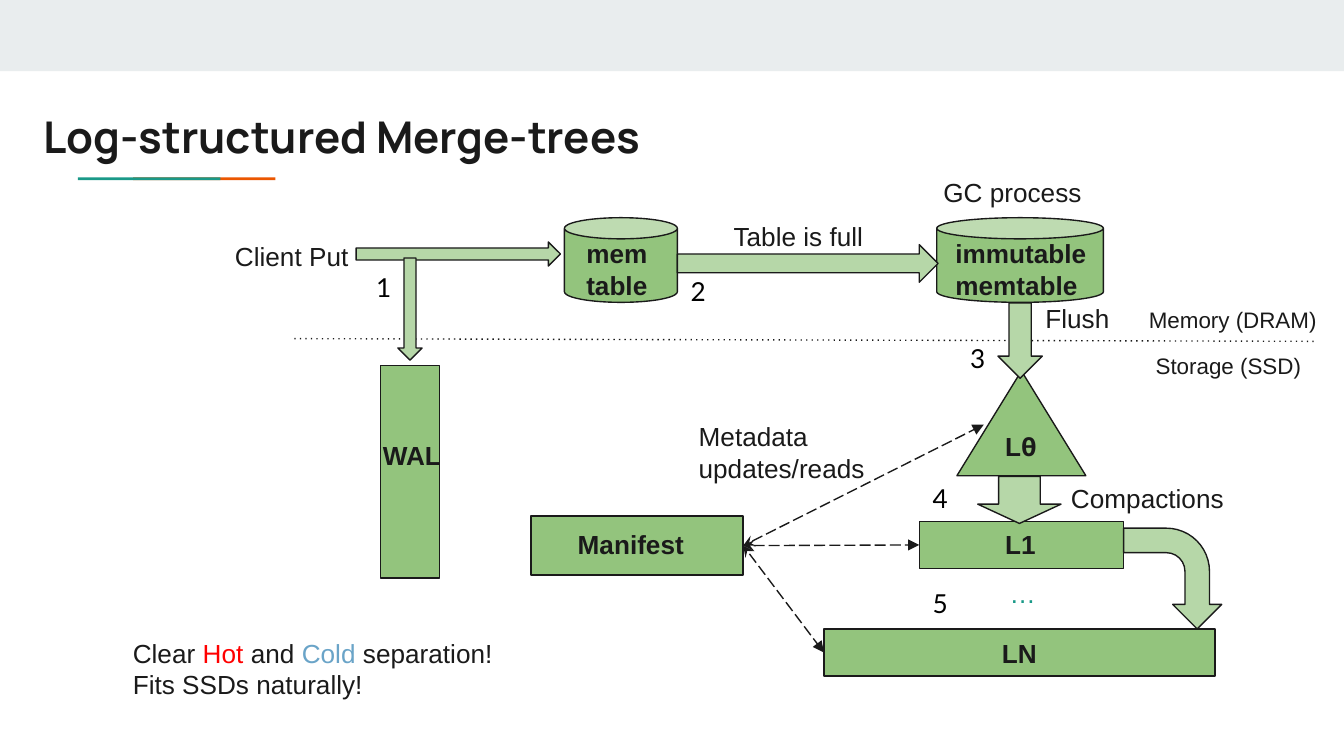
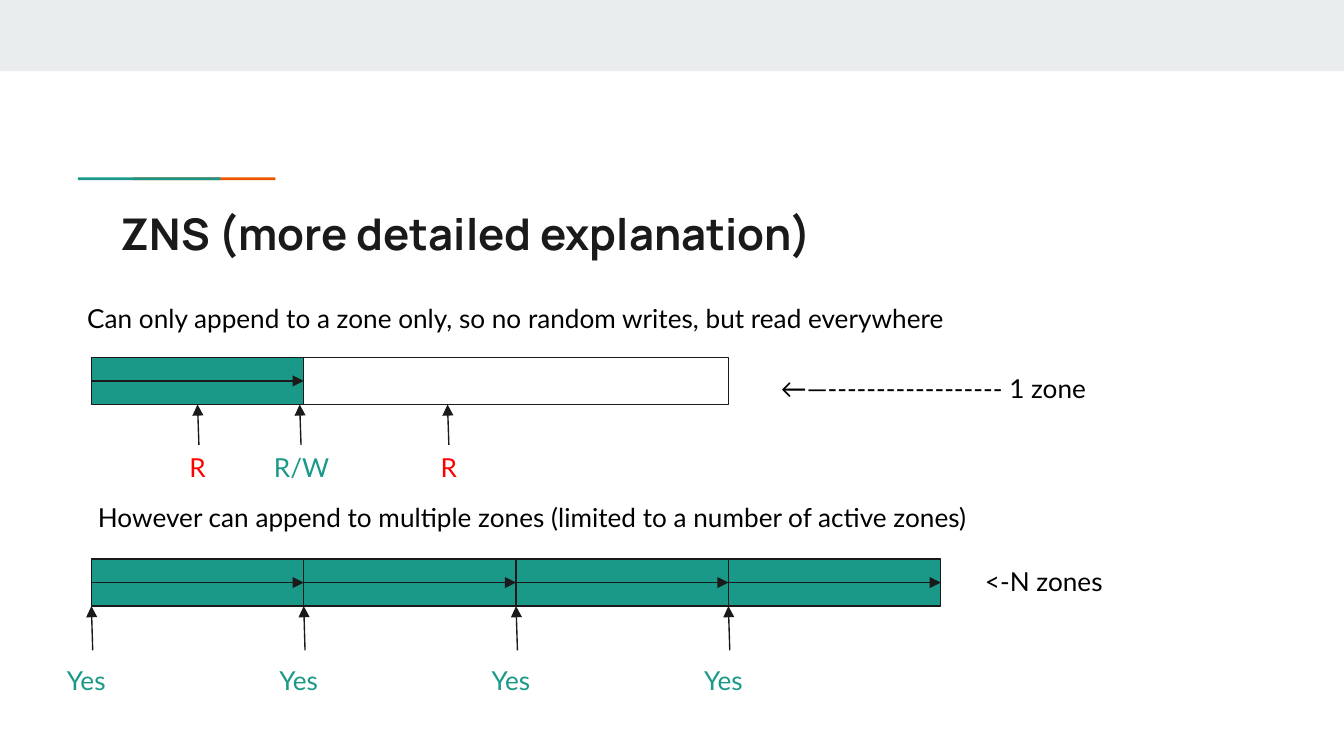
"""Builds two slides: log-structured merge-trees and zoned namespace appends."""
from pptx import Presentation
from pptx.dml.color import RGBColor
from pptx.enum.shapes import MSO_CONNECTOR, MSO_SHAPE
from pptx.enum.text import MSO_ANCHOR, MSO_AUTO_SIZE, PP_ALIGN
from pptx.oxml.ns import qn
from pptx.util import Inches, Pt
from lxml.etree import SubElement

INK = RGBColor(0x1A, 0x1A, 0x1A)
BLACK = RGBColor(0, 0, 0)
WHITE = RGBColor(0xFF, 0xFF, 0xFF)
BAND = RGBColor(0xE9, 0xED, 0xEE)
TEAL = RGBColor(0x1A, 0x99, 0x88)
ORANGE = RGBColor(0xEB, 0x56, 0x00)
GREEN = RGBColor(0x93, 0xC4, 0x7D)
PALE_GREEN = RGBColor(0xB6, 0xD7, 0xA8)
RED = RGBColor(0xFF, 0, 0)
COLD_BLUE = RGBColor(0x6A, 0xA4, 0xC8)
LEFT, CENTER = PP_ALIGN.LEFT, PP_ALIGN.CENTER


def add_block(slide, preset, box, fill, outlined=True, rotation=0):
    block = slide.shapes.add_shape(preset, *[Inches(length) for length in box])
    block.shadow.inherit = False
    block.fill.solid()
    block.fill.fore_color.rgb = fill
    block.rotation = rotation
    if outlined:
        block.line.color.rgb = INK
        block.line.width = Pt(0.75)
    else:
        block.line.fill.background()
    return block


def add_line(slide, start, end, dash="solid", head="none", tail="none"):
    line = slide.shapes.add_connector(
        MSO_CONNECTOR.STRAIGHT, *[Inches(length) for length in start + end])
    line.line.color.rgb = INK
    line.line.width = Pt(0.75)
    properties = line.element.spPr
    outline = properties.find(qn("a:ln"))
    SubElement(outline, qn("a:prstDash"), val=dash)
    SubElement(outline, qn("a:headEnd"), type=head)
    SubElement(outline, qn("a:tailEnd"), type=tail)
    SubElement(properties, qn("a:effectLst"))
    return line


prs = Presentation()
prs.slide_width = Inches(10)
prs.slide_height = prs.slide_width * 9 // 16

slides = []
for heading, left, top in (("Log-structured Merge-trees", 0.22, 0.72),
                           ("ZNS (more detailed explanation)", 0.8, 1.44)):
    slide = prs.slides.add_slide(prs.slide_layouts[5])
    slides.append(slide)
    add_block(slide, MSO_SHAPE.RECTANGLE, (0, 0, 10, 0.53), BAND, outlined=False)
    for accent_left, accent in ((0.99, ORANGE), (0.58, TEAL)):
        add_block(slide, MSO_SHAPE.RECTANGLE, (accent_left, 1.32, 1.06, 0.02), accent, outlined=False)
    title = slide.shapes.title
    title.left, title.top, title.width, title.height = [
        Inches(length) for length in (left, top, 8.41, 0.59)]
    frame = title.text_frame
    frame.text = heading
    frame.auto_size = MSO_AUTO_SIZE.NONE
    frame.vertical_anchor = MSO_ANCHOR.TOP
    frame.margin_left = frame.margin_right = frame.margin_top = frame.margin_bottom = Inches(0.1)
    paragraph = frame.paragraphs[0]
    paragraph.alignment = LEFT
    paragraph.font.name, paragraph.font.size, paragraph.font.bold = "Manrope", Pt(23.4), True
    paragraph.font.color.rgb = INK
lsm, zns = slides

add_block(lsm, MSO_SHAPE.RECTANGLE, (2.83, 2.72, 0.44, 1.58), GREEN)
add_block(lsm, MSO_SHAPE.CAN, (4.2, 1.62, 0.84, 0.63), GREEN)
add_block(lsm, MSO_SHAPE.CAN, (6.97, 1.62, 1.24, 0.63), GREEN)
add_block(lsm, MSO_SHAPE.ISOSCELES_TRIANGLE, (7.12, 2.76, 0.96, 0.78), GREEN)
level_1 = add_block(lsm, MSO_SHAPE.RECTANGLE, (6.84, 3.88, 1.52, 0.35), GREEN)
level_n = add_block(lsm, MSO_SHAPE.RECTANGLE, (6.13, 4.68, 2.91, 0.35), GREEN)
manifest = add_block(lsm, MSO_SHAPE.RECTANGLE, (3.95, 3.84, 1.58, 0.44), GREEN)

add_line(lsm, (2.19, 2.52), (9.78, 2.54), "dot")
for end, level in (((7.32, 3.16), None), ((6.84, 4.06), level_1), ((6.13, 4.86), level_n)):
    metadata_link = add_line(lsm, (5.53, 4.06), end, "lgDash", "stealth", "triangle")
    metadata_link.begin_connect(manifest, 3)
    if level:
        metadata_link.end_connect(level, 1)

for box, rotation, head_length in (
    ((2.65, 1.8, 1.52, 0.18), 0, 0.5),
    ((2.67, 2.21, 0.76, 0.18), 90, 0.5),
    ((5.04, 1.82, 1.94, 0.28), 0, 0.5),
    ((7.31, 2.37, 0.56, 0.33), 90, 0.5),
    ((7.41, 3.41, 0.35, 0.62), 90, 0.41),
):
    flow = add_block(lsm, MSO_SHAPE.RIGHT_ARROW, box, PALE_GREEN, rotation=rotation)
    flow.adjustments[1] = head_length
descent = add_block(lsm, MSO_SHAPE.BENT_ARROW, (8.35, 3.94, 0.75, 0.73), PALE_GREEN, rotation=90)
descent.adjustments[3] = 0.44

ZONE_LEFT, ZONE_WIDTH, ZONE_HEIGHT = 0.68, 1.58, 0.35
zone_lefts = [ZONE_LEFT + ZONE_WIDTH * index for index in range(4)]
zones = []
for left, top in [(ZONE_LEFT, 2.66)] + [(left, 4.16) for left in zone_lefts]:
    zone = add_block(zns, MSO_SHAPE.RECTANGLE, (left, top, ZONE_WIDTH, ZONE_HEIGHT), TEAL)
    zones.append(zone)
add_block(zns, MSO_SHAPE.RECTANGLE, (zone_lefts[1], 2.66, 2 * ZONE_WIDTH, ZONE_HEIGHT), WHITE)
for zone in zones:
    append_arrow = add_line(zns, (0, 0), (1, 0), tail="triangle")
    append_arrow.begin_connect(zone, 1)
    append_arrow.end_connect(zone, 3)

for tip in (1.47, 2.23, 3.33):
    access = add_line(zns, (tip + 0.01, 3.31), (tip, 3.01), tail="triangle")
    if tip == 1.47:
        access.end_connect(zones[0], 2)
for left in zone_lefts:
    add_line(zns, (left + 0.01, 4.84), (left, 4.51), tail="triangle")

label_groups = [
    (lsm, "Arial", 14, True, INK, LEFT, [
        (2.75, 3.17, 0.9, "WAL"),
        (7.01, 1.67, 1.2, "immutable memtable"),
        (7.38, 3.1, 0.75, "L𖺀"),
        (7.38, 3.83, 0.75, "L1"),
        (4.2, 3.83, 1.09, "Manifest")]),
    (lsm, "Arial", 14, True, INK, CENTER, [
        (4.14, 1.67, 0.9, "mem\ntable"),
        (6.15, 4.64, 2.87, "LN")]),
    (lsm, "Arial", 14, False, TEAL, CENTER, [(6.59, 4.2, 2.04, "…")]),
    (lsm, "Arial", 14, False, INK, LEFT, [
        (1.65, 1.69, 1.27, "Client Put"),
        (5.36, 1.54, 1.42, "Table is full"),
        (7.68, 2.15, 0.75, "Flush"),
        (7.87, 3.49, 1.42, "Compactions"),
        (5.1, 3.03, 1.68, "Metadata updates/reads"),
        (6.92, 1.21, 1.58, "GC process")]),
    (lsm, "Arial", 12, False, INK, LEFT, [
        (8.45, 2.18, 1.5, "Memory (DRAM)"),
        (8.5, 2.52, 1.42, "Storage (SSD)")]),
    (lsm, "Lato", 14, False, BLACK, LEFT, [
        (2.7, 1.92, 0.35, "1"),
        (5.04, 1.95, 0.35, "2"),
        (7.12, 2.45, 0.35, "3"),
        (6.84, 3.49, 0.35, "4"),
        (6.84, 4.27, 0.35, "5")]),
    (zns, "Lato", 14, False, BLACK, LEFT, [
        (0.55, 2.15, 7.19, "Can only append to a zone only, so no random writes, but read everywhere"),
        (0.63, 3.63, 7.19, "However can append to multiple zones (limited to a number of active zones)"),
        (5.71, 2.67, 2.75, "←—------------------ 1 zone"),
        (7.23, 4.11, 1.58, "<-N zones")]),
    (zns, "Lato", 14, False, RED, CENTER, [(1.18, 3.26, 0.58, "R"), (3.05, 3.26, 0.58, "R")]),
    (zns, "Lato", 14, False, TEAL, LEFT, [(1.94, 3.26, 0.71, "R/W")]
        + [(left - 0.28, 4.84, 0.58, "Yes") for left in zone_lefts]),
    (lsm, "Arial", 14, False, INK, LEFT, [(0.89, 4.64, 3.23, "")]),
]
for slide, font_name, size, bold, color, alignment, labels in label_groups:
    for left, top, width, text in labels:
        two_lines = text in ("mem\ntable", "immutable memtable", "Metadata updates/reads", "")
        height = 0.67 if two_lines else 0.4 if size == 12 else 0.44
        label = slide.shapes.add_textbox(Inches(left), Inches(top), Inches(width), Inches(height))
        frame = label.text_frame
        frame.word_wrap = True
        frame.margin_left = frame.margin_right = frame.margin_top = frame.margin_bottom = Inches(0.1)
        frame.auto_size = MSO_AUTO_SIZE.SHAPE_TO_FIT_TEXT
        frame.text = text
        for paragraph in frame.paragraphs:
            paragraph.alignment = alignment
            paragraph.font.name, paragraph.font.size, paragraph.font.bold = font_name, Pt(size), bold
            paragraph.font.color.rgb = color

takeaway = frame.paragraphs[0]
for text, color in (("Clear ", INK), ("Hot ", RED), ("and ", INK),
                    ("Cold ", COLD_BLUE), ("separation!", INK)):
    run = takeaway.add_run()
    run.text = text
    run.font.color.rgb = color
takeaway.add_line_break()
takeaway.add_run().text = "Fits SSDs naturally!"

prs.save("out.pptx")
